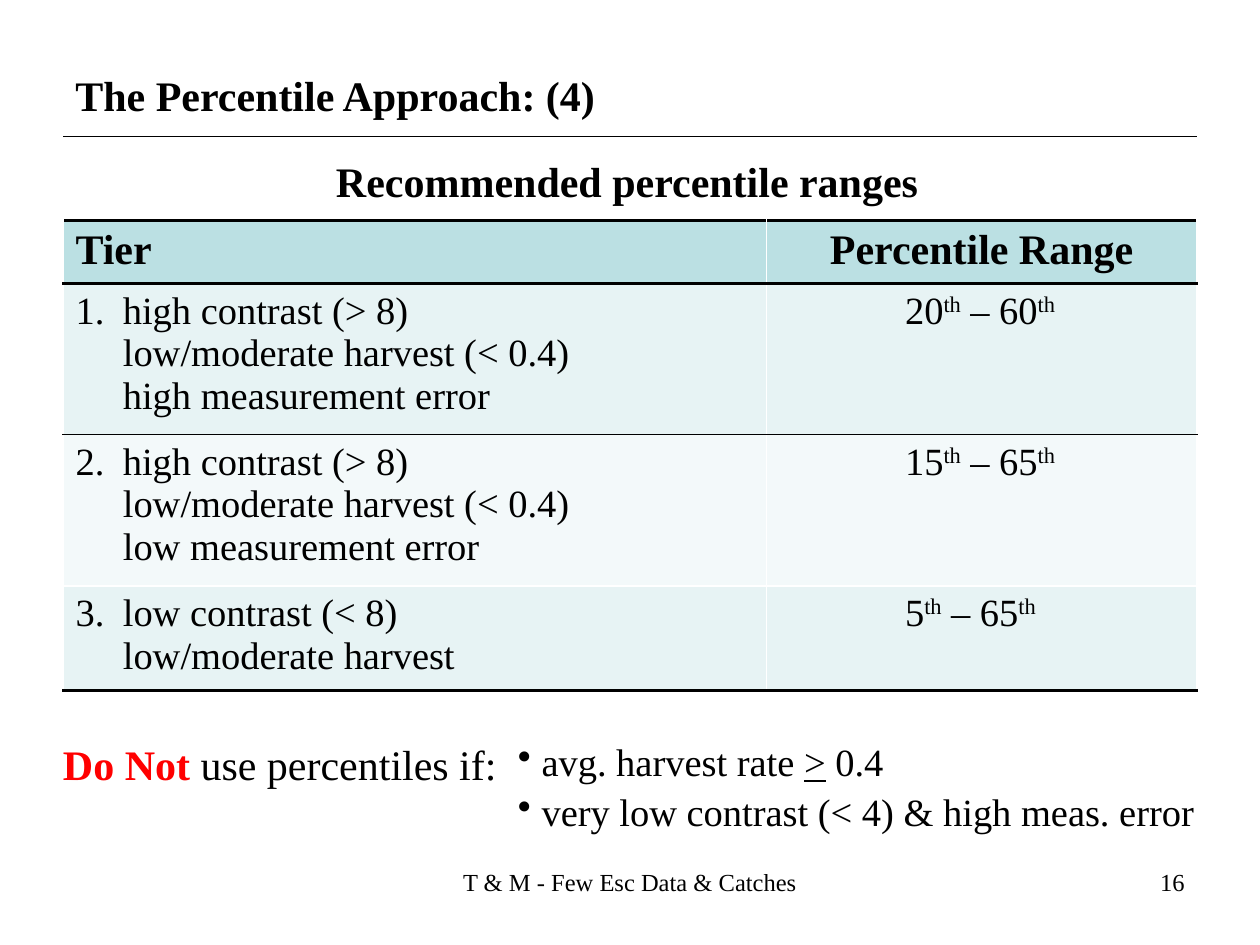
from lxml import etree
from pptx import Presentation
from pptx.dml.color import RGBColor
from pptx.enum import shapes, text
from pptx.oxml import ns
from pptx.util import Pt

BLACK = RGBColor(0, 0, 0)
WHITE = RGBColor(255, 255, 255)
RED = RGBColor(255, 0, 0)
HEADER = RGBColor(0xBB, 0xE0, 0xE3)
BAND = RGBColor(0xE7, 0xF3, 0xF4)
LIGHT = RGBColor(0xF3, 0xF9, 0xFA)
ALIGN = text.PP_ALIGN


def add_runs(p, runs, size, **base):
    for content, fmt in runs:
        r = p.add_run()
        r.text = content
        fmt = {"name": "Times New Roman", "size": Pt(size), "bold": False, **base, **fmt}
        r.font.color.rgb = fmt.pop("color", BLACK)
        if fmt.pop("sup", False):
            r.font._element.set("baseline", "30000")
        for key, value in fmt.items():
            setattr(r.font, key, value)


def indent(p, left, first=0, bullet=None, **attrs):
    pPr = p._p.get_or_add_pPr()
    pPr.set("marL", str(Pt(left)))
    pPr.set("indent", str(Pt(first)))
    if bullet:
        etree.SubElement(pPr, ns.qn("a:" + bullet), attrs)


prs = Presentation()
prs.slide_width, prs.slide_height = Pt(720), Pt(540)
s = prs.slides.add_slide(prs.slide_layouts[6])

tiers = [
    (["high contrast (> 8)", "low/moderate harvest (< 0.4)", "high measurement error"], "20", "60"),
    (["high contrast (> 8)", "low/moderate harvest (< 0.4)", "low measurement error"], "15", "65"),
    (["low contrast (< 8)", "low/moderate harvest"], "5", "65"),
]
widths = [402, 246]
heights = [36, 86.4, 86.4, 59.8]
fills = [HEADER, BAND, LIGHT, BAND]
rules = [(BLACK, 1.5), (BLACK, 1.5), (BLACK, 1), (WHITE, 1), (BLACK, 1.5)]

table = s.shapes.add_table(4, 2, Pt(36), Pt(126), Pt(648), Pt(268.6)).table
table.first_row = table.horz_banding = False
for col, width in zip(table.columns, widths):
    col.width = Pt(width)
for row, height in zip(table.rows, heights):
    row.height = Pt(height)

for i, row in enumerate(table.rows):
    for cell in row.cells:
        cell.fill.solid()
        cell.fill.fore_color.rgb = fills[i]
        edges = {"lnL": (WHITE, 1), "lnR": (WHITE, 1), "lnT": rules[i], "lnB": rules[i + 1]}
        for n, (tag, (color, width)) in enumerate(edges.items()):
            ln = etree.Element(ns.qn("a:" + tag), w=str(Pt(width)))
            fill = etree.SubElement(ln, ns.qn("a:solidFill"))
            etree.SubElement(fill, ns.qn("a:srgbClr"), val=str(color))
            cell._tc.get_or_add_tcPr().insert(n, ln)

for c, (heading, align) in enumerate([("Tier", ALIGN.LEFT), ("Percentile Range", ALIGN.CENTER)]):
    p = table.cell(0, c).text_frame.paragraphs[0]
    p.alignment = align
    add_runs(p, [(heading, {})], 24, bold=True)

for i, (criteria, low, high) in enumerate(tiers, 1):
    tf = table.cell(i, 0).text_frame
    for n, criterion in enumerate(criteria):
        p = tf.add_paragraph() if n else tf.paragraphs[0]
        if n:
            indent(p, 27)
        else:
            indent(p, 27, -27, "buAutoNum", type="arabicPeriod", startAt=str(i))
        add_runs(p, [(criterion, {})], 22)
    p = table.cell(i, 1).text_frame.paragraphs[0]
    indent(p, 72)
    th = ("th", {"sup": True})
    add_runs(p, [(low, {}), th, (" – " + high, {}), th], 22)

bold = {"bold": True}
boxes = [
    ((36, 36, 314, 36), False, False, 24, {},
     [[("The Percentile Approach: (4)", bold)]]),
    ((192, 80, 336, 34), True, False, 24, {"line_spacing": 1.3},
     [[("Recommended percentile ranges", bold)]]),
    ((36, 422, 252, 29), True, True, 24, {"space_before": Pt(2.4)},
     [[("Do Not", {"bold": True, "color": RED}), (" use percentiles if:", {})]]),
    ((278, 422, 424, 53), True, True, 22, {"space_before": Pt(2.2)},
     [[("avg. harvest rate ", {}), (">", {"underline": True}), (" 0.4", {})],
      [("very low contrast (< 4) & high meas. error", {})]]),
    ((256.5, 492, 207, 24.5), False, False, 14, {"alignment": ALIGN.CENTER},
     [[("T & M - Few Esc Data & Catches", {})]]),
    ((516, 492, 168, 37), False, True, 14, {"alignment": ALIGN.RIGHT},
     [[("16", {})]]),
]
for place, flush, wrap, size, fmt, paragraphs in boxes:
    tf = s.shapes.add_textbox(*map(Pt, place)).text_frame
    tf.word_wrap = wrap
    if flush:
        tf.margin_left = tf.margin_top = tf.margin_right = tf.margin_bottom = 0
    for n, runs in enumerate(paragraphs):
        p = tf.add_paragraph() if n else tf.paragraphs[0]
        for key, value in fmt.items():
            setattr(p, key, value)
        if len(paragraphs) > 1:
            indent(p, 31.5, -13.5, "buChar", char="•")
        add_runs(p, runs, size)

line = s.shapes.add_connector(shapes.MSO_CONNECTOR.STRAIGHT, Pt(36), Pt(78), Pt(684), Pt(78))
line.line.color.rgb = BLACK
line.line.width = Pt(0.75)
etree.SubElement(line._element.spPr, ns.qn("a:effectLst"))

prs.save("out.pptx")
